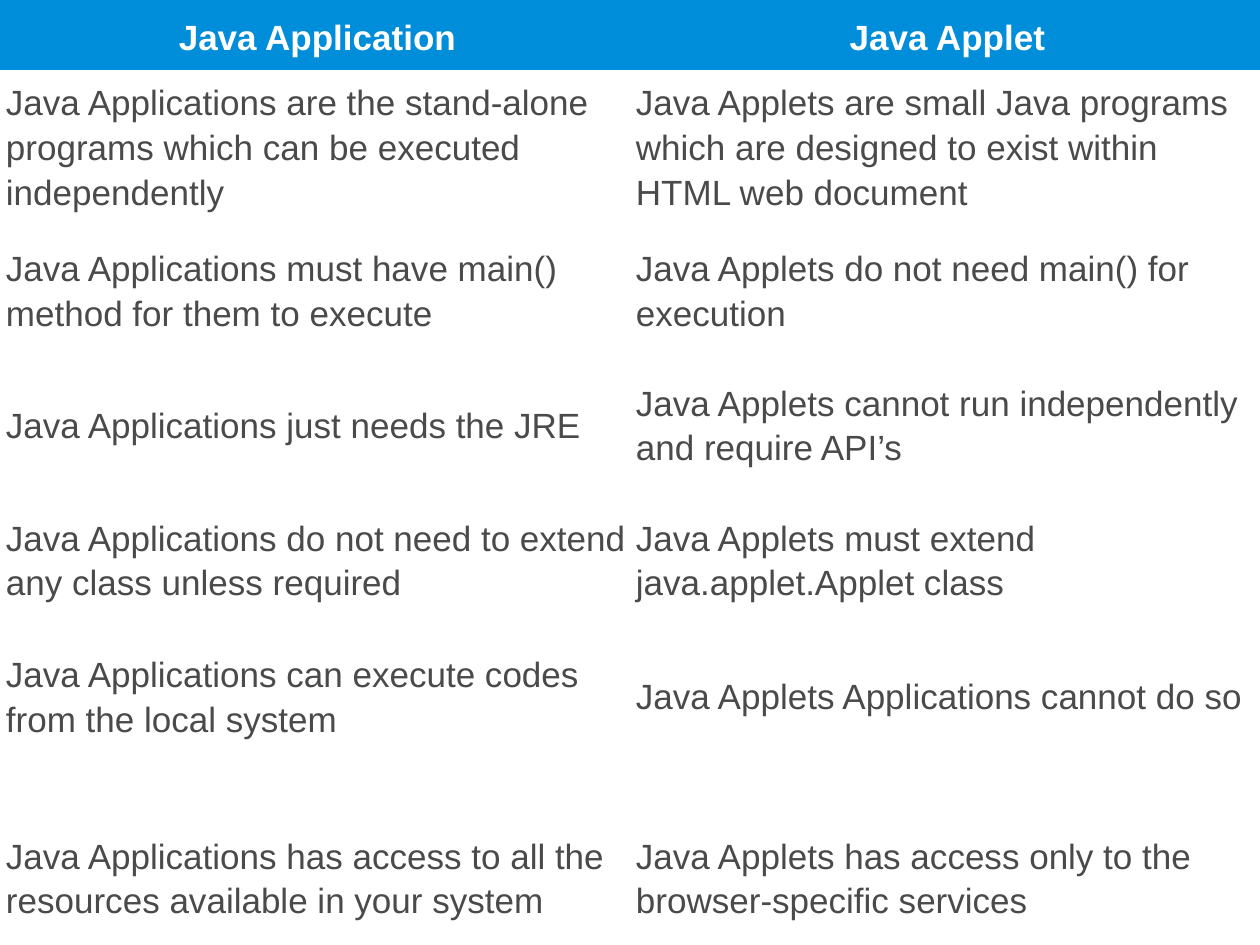
"""Build a slide that compares Java applications with Java applets."""
from dataclasses import dataclass

from pptx import Presentation
from pptx.dml.color import RGBColor
from pptx.enum.text import MSO_ANCHOR as Anchor, PP_ALIGN as Align
from pptx.util import Pt

EMU_PER_PX = 914400 // 126
NO_STYLE_NO_GRID = "{2D5ABB26-0587-4C30-8999-92F81FD0307C}"
COLUMN_WIDTH = 630
ROW_HEIGHTS = [70, 151, 135, 135, 135, 183, 135]
LIFTED_ROW = 5
ROWS = [
    ("Java Application", "Java Applet"),
    ("Java Applications are the stand-alone programs which can be executed independently",
     "Java Applets are small Java programs which are designed to exist within HTML web document"),
    ("Java Applications must have main() method for them to execute",
     "Java Applets do not need main() for execution"),
    ("Java Applications just needs the JRE",
     "Java Applets cannot run independently and require API’s"),
    ("Java Applications do not need to extend any class unless required",
     "Java Applets must extend java.applet.Applet class"),
    ("Java Applications can execute codes from the local system",
     "Java Applets Applications cannot do so"),
    ("Java Applications has access to all the resources available in your system",
     "Java Applets has access only to the browser-specific services"),
]


def px(length):
    return length * EMU_PER_PX


def color(value):
    return RGBColor.from_string(value)


@dataclass
class SlideBuilder:
    slide: object
    font: str = "Arial"
    size: int = 20
    header_fill: str = "008DD9"
    header_text: str = "FFFFFF"
    body_text: str = "4A4A4A"

    def table(self, rows, column_width, row_heights):
        column_count = len(rows[0])
        frame = self.slide.shapes.add_table(
            len(rows), column_count, 0, 0,
            px(column_width * column_count), px(sum(row_heights)))
        table = frame.table
        table.first_row = table.horz_banding = False
        table._tbl.tblPr.find("{*}tableStyleId").text = NO_STYLE_NO_GRID
        for column in table.columns:
            column.width = px(column_width)
        for index, (texts, height) in enumerate(zip(rows, row_heights)):
            table.rows[index].height = px(height)
            bottom = 46 if index == LIFTED_ROW else 1
            for cell, text in zip(table.rows[index].cells, texts):
                self.cell(cell, text, index == 0, bottom)

    def cell(self, cell, text, is_header, bottom):
        cell.text = text
        cell.vertical_anchor = Anchor.MIDDLE
        cell.margin_left = px(6)
        cell.margin_top = cell.margin_right = px(1)
        cell.margin_bottom = px(bottom)
        if is_header:
            cell.fill.solid()
            cell.fill.fore_color.rgb = color(self.header_fill)
        else:
            cell.fill.background()
        paragraph = cell.text_frame.paragraphs[0]
        paragraph.alignment = Align.CENTER if is_header else Align.LEFT
        paragraph.line_spacing = 1.15
        paragraph.space_after = Pt(10)
        font = paragraph.font
        font.name, font.size, font.bold = self.font, Pt(self.size), is_header
        font.color.rgb = color(self.header_text if is_header else self.body_text)


def main():
    presentation = Presentation()
    presentation.slide_width, presentation.slide_height = px(1260), px(945)
    slide = presentation.slides.add_slide(presentation.slide_layouts[6])
    SlideBuilder(slide).table(ROWS, COLUMN_WIDTH, ROW_HEIGHTS)
    presentation.save("out.pptx")


if __name__ == "__main__":
    main()
